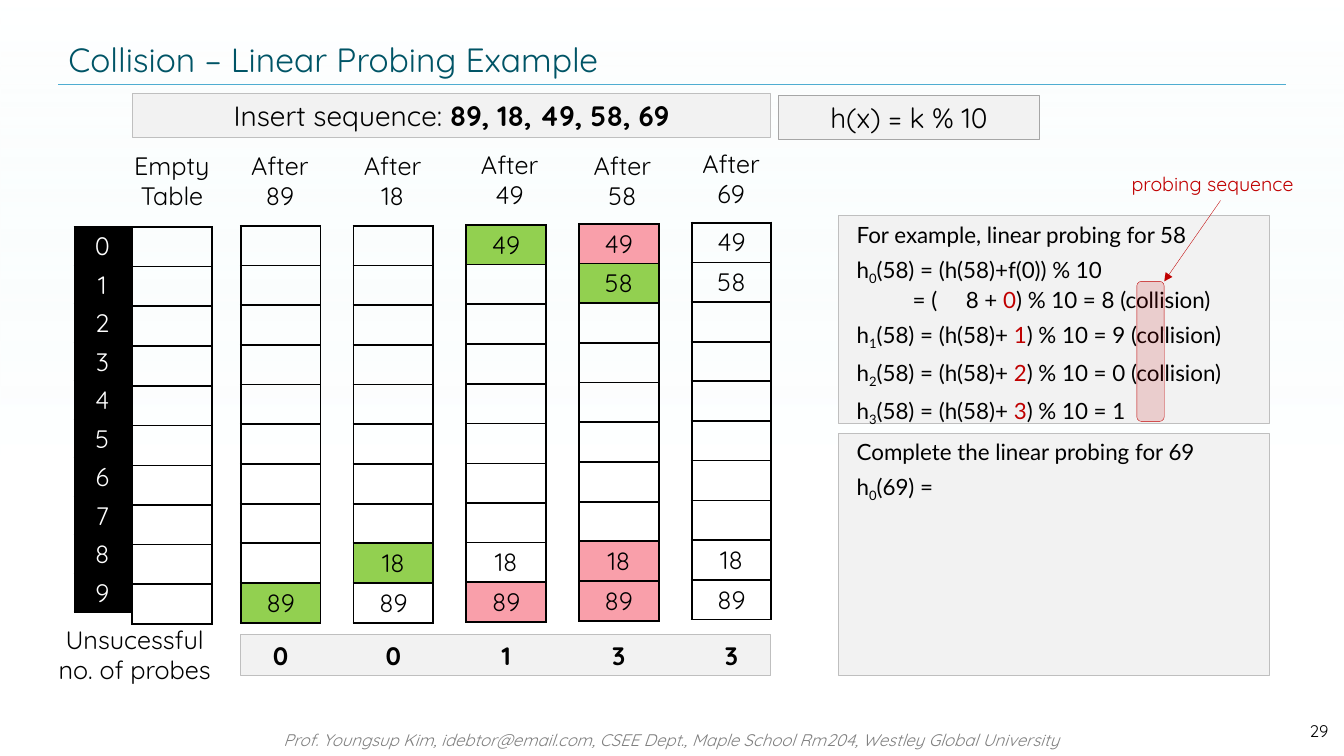
from dataclasses import dataclass

import pptx
import pptx.chart.data
import pptx.dml.color
import pptx.enum.shapes
import pptx.enum.text
import pptx.oxml
import pptx.oxml.ns
import pptx.util
from lxml import etree

Cm = pptx.util.Cm
Pt = pptx.util.Pt
ALIGN = pptx.enum.text.PP_ALIGN
ANCHOR = pptx.enum.text.MSO_ANCHOR
SHAPE = pptx.enum.shapes.MSO_SHAPE


@dataclass(frozen=True)
class Theme:
    heading: str = "Quicksand"
    body: str = "Lato"
    title: str = "005466"
    rule: str = "4FADD1"
    ink: str = "000000"
    paper: str = "FFFFFF"
    tint: str = "D9F3F4"
    grey: str = "808080"
    panel: str = "F2F2F2"
    edge: str = "BFBFBF"
    dark_edge: str = "A6A6A6"
    red: str = "C00000"
    inserted: str = "92D050"
    collided: str = "F99FAA"
    title_size: int = 24
    banner_size: int = 20
    label_size: int = 18
    body_size: int = 16
    note_size: int = 14
    small_size: int = 12


THEME = Theme()
FIRST_LEFT, COLUMN_PITCH, CELL_WIDTH = 6.07, 2.84, 2.01
GREEN, PINK = THEME.inserted, THEME.collided
STEPS = [
    ("89", 6.05, 3.66, 5.69, {9: ("89", GREEN)}),
    ("18", 8.89, 3.66, 5.69, {8: ("18", GREEN), 9: ("89", None)}),
    ("49", 11.84, 3.63, 5.67, {0: ("49", GREEN), 8: ("18", None), 9: ("89", PINK)}),
    ("58", 14.68, 3.66, 5.64, {0: ("49", PINK), 1: ("58", GREEN), 8: ("18", PINK), 9: ("89", PINK)}),
    ("69", 17.42, 3.61, 5.61, {0: ("49", None), 1: ("58", None), 8: ("18", None), 9: ("89", None)}),
]
PROBES = ["0", "0", "1", "3", "3"]


def rgb(value):
    return pptx.dml.color.RGBColor.from_string(value)


def add_node(parent, tag, **attributes):
    return etree.SubElement(parent, pptx.oxml.ns.qn(tag), **attributes)


def format_span(span, size, color=THEME.ink, font=THEME.heading, bold=False, italic=False):
    span.font.size = Pt(size)
    span.font.name = font
    span.font.color.rgb = rgb(color)
    span.font.bold = bold
    span.font.italic = italic


def write(frame, text, size, align=ALIGN.CENTER, **style):
    frame.text = text
    for para in frame.paragraphs:
        para.alignment = align
        for span in para.runs:
            format_span(span, size, **style)


def set_alpha(fill_node, percents):
    for color, percent in zip(fill_node.iter(pptx.oxml.ns.qn("a:srgbClr")), percents):
        add_node(color, "a:alpha", val=str(percent * 1000))


def add_label(shapes, text, left, top, width, height, size, wrap=True, **style):
    box = shapes.add_textbox(Cm(left), Cm(top), Cm(width), Cm(height))
    box.text_frame.word_wrap = wrap
    write(box.text_frame, text, size, **style)
    return box


def add_panel(shapes, left, top, width, height, fill=THEME.panel, edge=THEME.edge,
              weight=0.75, kind=SHAPE.RECTANGLE):
    panel = shapes.add_shape(kind, Cm(left), Cm(top), Cm(width), Cm(height))
    panel.shadow.inherit = False
    panel.fill.solid()
    panel.fill.fore_color.rgb = rgb(fill)
    panel.line.color.rgb = rgb(edge)
    panel.line.width = Pt(weight)
    panel.text_frame.word_wrap = True
    panel.text_frame.vertical_anchor = ANCHOR.TOP
    return panel


def add_line(shapes, start, end, color, arrow=False):
    line = shapes.add_connector(pptx.enum.shapes.MSO_CONNECTOR.STRAIGHT,
                                *(Cm(value) for value in start + end))
    line.line.color.rgb = rgb(color)
    line.line.width = Pt(0.25)
    if arrow:
        add_node(line.line._get_or_add_ln(), "a:tailEnd", type="triangle")
    add_node(line.element.spPr, "a:effectLst")


def set_borders(cell, row):
    top = 1 if row in (1, 6) else 1.5
    bottom = 1 if row in (0, 5) else 1.5
    props = cell._tc.get_or_add_tcPr()
    for side, weight in (("L", 1.5), ("R", 1.5), ("T", top), ("B", bottom)):
        line = add_node(props, "a:ln" + side, w=str(Pt(weight)))
        add_node(add_node(line, "a:solidFill"), "a:srgbClr", val=THEME.ink)


def add_slots(page, left, top, width, row_height, slots, color=THEME.ink):
    frame = page.shapes.add_table(10, 1, Cm(left), Cm(top), Cm(width), Cm(10 * row_height))
    table = frame.table
    table.first_row = table.horz_banding = False
    for row in range(10):
        table.rows[row].height = Cm(row_height)
        cell = table.cell(row, 0)
        text, fill = slots.get(row, ("", None))
        cell.margin_left = cell.margin_right = cell.margin_top = cell.margin_bottom = 0
        cell.vertical_anchor = ANCHOR.MIDDLE
        set_borders(cell, row)
        if fill:
            cell.fill.solid()
            cell.fill.fore_color.rgb = rgb(fill)
        else:
            cell.fill.background()
        write(cell.text_frame, text, THEME.label_size, color=color)


def set_tabs(para, stops, align):
    tabs = add_node(para._p.get_or_add_pPr(), "a:tabLst")
    for stop in stops:
        add_node(tabs, "a:tab", pos=str(Cm(stop)), algn=align)


def add_working(page, top, height, heading, lines):
    panel = add_panel(page.shapes, 21.13, top, 10.87, height)
    frame = panel.text_frame
    frame.margin_left = Cm(0.46)
    write(frame, heading, THEME.body_size, align=ALIGN.LEFT, font=THEME.body)
    for line in lines:
        para = frame.add_paragraph()
        para.alignment = ALIGN.LEFT
        for text, role in line:
            if role == "break":
                para.add_line_break()
                continue
            span = para.add_run()
            span.text = text
            format_span(span, THEME.body_size, font=THEME.body,
                        color=THEME.red if role == "probe" else THEME.ink)
            if role == "sub":
                span._r.get_or_add_rPr().set("baseline", "-23000")
    for para in frame.paragraphs:
        para.space_before = Pt(5.8)
        set_tabs(para, (1.41, 2.75), "l")


def hash_call(index, key, rest):
    return [("h", ""), (str(index), "sub"), (f"({key}) {rest}", "")]


def add_backdrop(page, deck):
    title = page.shapes.title
    backdrop = page.shapes.add_shape(SHAPE.RECTANGLE, 0, 0, deck.slide_width, deck.slide_height)
    backdrop.shadow.inherit = False
    backdrop.line.fill.background()
    backdrop.fill.gradient()
    backdrop.fill.gradient_angle = 270
    for stop, position, color in zip(backdrop.fill.gradient_stops, (0, 0.61), (THEME.tint, THEME.paper)):
        stop.position = position
        stop.color.rgb = rgb(color)
    set_alpha(backdrop.element.spPr, (0, 40))
    title.element.addprevious(backdrop.element)


def add_frame(page, deck):
    add_backdrop(page, deck)
    title = page.shapes.title
    title.left, title.top, title.width, title.height = Cm(1.47), Cm(0.86), Cm(30.94), Cm(1.27)
    title.text_frame.vertical_anchor = ANCHOR.MIDDLE
    write(title.text_frame, "Collision – Linear Probing Example", THEME.title_size,
          align=ALIGN.LEFT, color=THEME.title)
    add_line(page.shapes, (1.47, 2.13), (32.41, 2.13), THEME.rule)
    add_label(page.shapes, "Prof. Youngsup Kim, idebtor@email.com, CSEE Dept., Maple School Rm204, "
              "Westley Global University", 5.03, 18.26, 23.8, 0.76, THEME.small_size,
              color=THEME.grey, italic=True)
    number = add_label(page.shapes, "29", 30.76, 17.91, 2.97, 1.02, THEME.small_size, align=ALIGN.RIGHT)
    number.text_frame.vertical_anchor = ANCHOR.MIDDLE


def add_hash_tables(page):
    add_slots(page, 3.33, 5.72, CELL_WIDTH, 1.0, {})
    add_label(page.shapes, "Empty\vTable", 3.1, 3.66, 2.46, 1.8, THEME.label_size, wrap=False)
    for column, (key, label_left, label_top, top, slots) in enumerate(STEPS):
        add_slots(page, FIRST_LEFT + column * COLUMN_PITCH, top, CELL_WIDTH, 1.0, slots)
        add_label(page.shapes, f"After\n{key}", label_left, label_top, CELL_WIDTH, 1.8,
                  THEME.label_size, wrap=False)
    indexes = {row: (str(row), THEME.ink) for row in range(10)}
    add_slots(page, 1.88, 5.72, 1.4, 0.97, indexes, color=THEME.paper)


def add_probe_counts(page):
    add_label(page.shapes, "Unsucessful \nno. of probes", 0.94, 15.6, 4.62, 1.8,
              THEME.label_size, align=ALIGN.RIGHT)
    counts = add_panel(page.shapes, FIRST_LEFT, 16.0, 13.36, 1.03)
    counts.text_frame.margin_left = 0
    write(counts.text_frame, "\t" + "\t".join(PROBES), THEME.label_size, align=ALIGN.LEFT, bold=True)
    centres = [CELL_WIDTH / 2 + column * COLUMN_PITCH for column in range(len(PROBES))]
    set_tabs(counts.text_frame.paragraphs[0], centres, "ctr")


def add_probing_callout(page):
    group = page.shapes.add_group_shape()
    marker = add_panel(group.shapes, 28.65, 7.09, 0.69, 3.53, fill=THEME.red, edge=THEME.red,
                       weight=0.25, kind=SHAPE.ROUNDED_RECTANGLE)
    set_alpha(marker.element.spPr, (15,))
    add_line(group.shapes, (30.76, 5.05), (29.34, 7.09), THEME.red, arrow=True)
    add_label(group.shapes, "probing sequence", 28.27, 4.22, 4.98, 0.86, THEME.note_size,
              wrap=False, align=ALIGN.LEFT, color=THEME.red)


def main():
    deck = pptx.Presentation()
    deck.slide_width, deck.slide_height = Cm(33.87), Cm(19.05)
    page = deck.slides.add_slide(deck.slide_layouts[5])
    add_frame(page, deck)
    add_hash_tables(page)
    sequence = add_panel(page.shapes, 3.33, 2.36, 16.1, 1.11)
    write(sequence.text_frame, "Insert sequence: ", THEME.banner_size)
    keys = sequence.text_frame.paragraphs[0].add_run()
    keys.text = ", ".join(step[0] for step in STEPS)
    format_span(keys, THEME.banner_size, bold=True)
    formula = add_panel(page.shapes, 19.61, 2.4, 6.6, 1.11, edge=THEME.dark_edge)
    write(formula.text_frame, "h(x) = k % 10", THEME.banner_size)
    first = hash_call(0, 58, "= (h(58)+f(0)) % 10") + [
        ("", "break"), ("\t= (\t8 + ", ""), ("0", "probe"), (") % 10 = 8 (collision)", "")]
    later = [hash_call(index, 58, "= (h(58)+ ") + [(str(index), "probe"), (f") % 10 = {result}", "")]
             for index, result in enumerate(("9 (collision)", "0 (collision)", "1"), start=1)]
    add_working(page, 5.44, 5.23, "For example, linear probing for 58", [first] + later)
    add_probing_callout(page)
    add_probe_counts(page)
    add_working(page, 10.92, 6.1, "Complete the linear probing for 69", [hash_call(0, 69, "=")])
    deck.save("out.pptx")


main()
